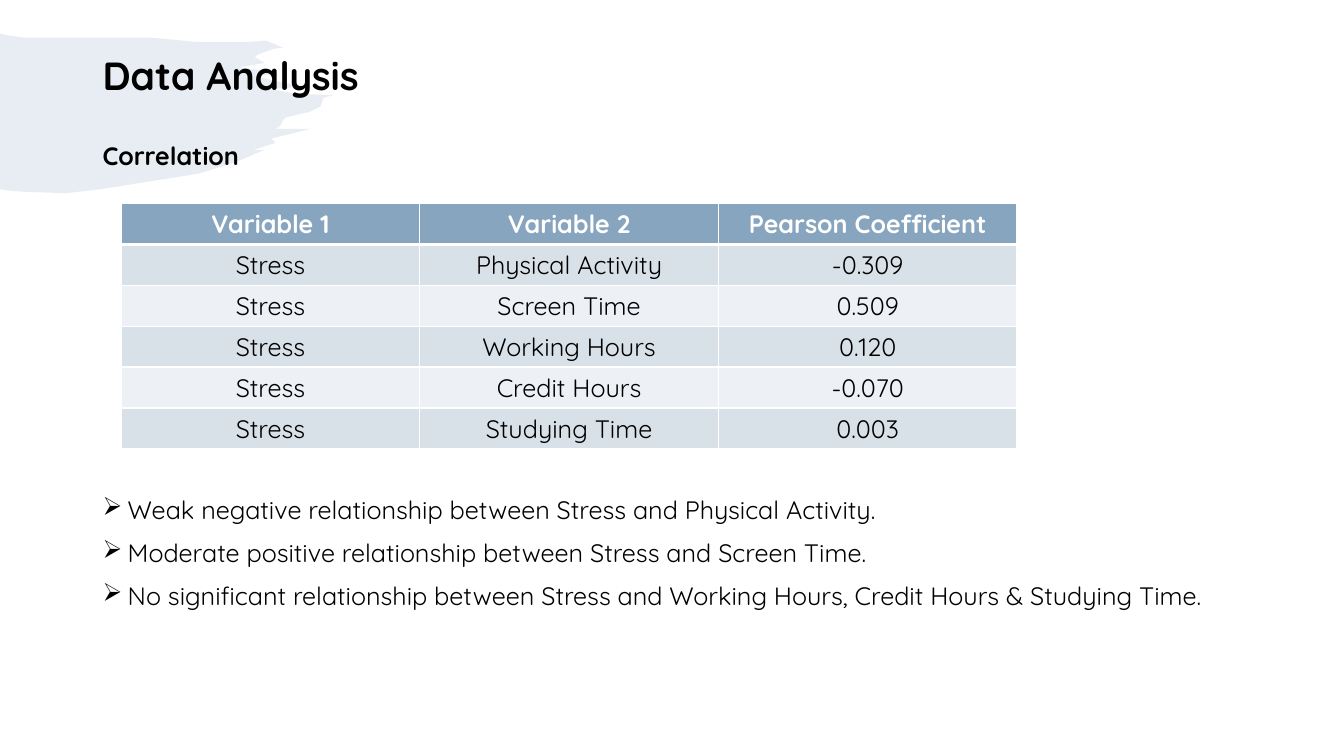
"""Build the Data Analysis slide with its correlation table and findings."""
from dataclasses import dataclass

from lxml import etree
from pptx import Presentation
from pptx import util as u
from pptx.dml import color
from pptx.enum import text
from pptx.oxml import ns

Pt = u.Pt
FONT = "Quicksand"
COLORS = {
    "text": "000000",
    "white": "FFFFFF",
    "accent": "87A5BE",
    "band_dark": "D9E1E8",
    "band_light": "EDF0F4",
}
LEFT, WIDTH = 66.2, 828
BRUSH = [
    (0, 24.5), (4.3, 25.2), (18, 26.6), (47.5, 27.4), (73.4, 26.6), (108.7, 27.4),
    (139.7, 29.5), (178.6, 29.5), (190.3, 29.2), (201.6, 33.8), (195.1, 35.3),
    (183.6, 38.9), (182.2, 41), (184.3, 42.5), (188.6, 44.6), (171.4, 47.5),
    (177.1, 49), (184.3, 50.4), (191.5, 51.1), (198, 53.3), (180.7, 54),
    (189.4, 56.2), (196.6, 58.3), (201.6, 59), (207.4, 59.8), (208.8, 61.2),
    (206.6, 63.4), (189.4, 63.4), (212, 66.6), (237.6, 67.7), (231.1, 69.8),
    (229, 76.3), (221, 79.9), (216, 81.4), (203.8, 83.5), (201.6, 86.4),
    (200.2, 90), (197.3, 92.2), (221.8, 92.2), (193.7, 99.4), (196.6, 102.2),
    (181.4, 106.6), (189.4, 106.6), (168, 115.5), (141.8, 123.8), (73.4, 135.4),
    (46.8, 137.5), (16.6, 136.8), (5, 136.1), (0, 135.4),
]
HEADERS = ["Variable 1", "Variable 2", "Pearson Coefficient"]
CORRELATIONS = [
    ("Physical Activity", "-0.309"),
    ("Screen Time", "0.509"),
    ("Working Hours", "0.120"),
    ("Credit Hours", "-0.070"),
    ("Studying Time", "0.003"),
]


@dataclass
class TextBlock:
    """Lines of text at one height on the slide."""

    top: float
    height: float
    lines: list[str]
    bold: bool = False
    bullet: str = ""


BLOCKS = [
    TextBlock(96.5, 30, ["Correlation"], bold=True),
    TextBlock(349.4, 100, [
        "Weak negative relationship between Stress and Physical Activity.",
        "Moderate positive relationship between Stress and Screen Time.",
        "No significant relationship between Stress and Working Hours, "
        "Credit Hours & Studying Time.",
    ], bullet="➢"),
]


def rgb(name: str) -> color.RGBColor:
    """Look up a named colour."""
    return color.RGBColor.from_string(COLORS[name])


def style(p, size: float, name: str = "text", bold: bool = False) -> None:
    """Format every run of a paragraph."""
    for r in p.runs:
        r.font.name, r.font.size, r.font.bold = FONT, Pt(size), bold
        r.font.color.rgb = rgb(name)


def draw_brush(s) -> None:
    """Draw the translucent brush stroke behind the title."""
    builder = s.shapes.build_freeform(*BRUSH[0], scale=Pt(1))
    builder.add_line_segments(BRUSH[1:], close=True)
    sp = builder.convert_to_shape()
    sp.shadow.inherit = False
    sp.line.fill.background()
    sp.fill.solid()
    sp.fill.fore_color.rgb = rgb("accent")
    srgb = sp.fill._xPr.find(".//" + ns.qn("a:srgbClr"))
    etree.SubElement(srgb, ns.qn("a:alpha"), val="20000")


def draw_title(s, title: str) -> None:
    """Place and format the title placeholder."""
    sp = s.shapes.title
    sp.left, sp.top, sp.width, sp.height = Pt(LEFT), Pt(28.8), Pt(WIDTH), Pt(53.3)
    tf = sp.text_frame
    tf.text = title
    tf.vertical_anchor = text.MSO_ANCHOR.MIDDLE
    p = tf.paragraphs[0]
    p.alignment, p.line_spacing = text.PP_ALIGN.LEFT, 0.9
    style(p, 28, bold=True)


def draw_block(s, block: TextBlock) -> None:
    """Draw a text box, bulleted where the block asks for it."""
    sp = s.shapes.add_textbox(Pt(LEFT), Pt(block.top), Pt(WIDTH), Pt(block.height))
    tf = sp.text_frame
    tf.word_wrap = True
    tf.text = "\n".join(block.lines)
    for p in tf.paragraphs:
        p.space_after = Pt(9.2)
        style(p, 18, bold=block.bold)
        if block.bullet:
            pPr = p._p.get_or_add_pPr()
            pPr.set("marL", str(Pt(18)))
            pPr.set("indent", str(Pt(-18)))
            etree.SubElement(pPr, ns.qn("a:buChar"), char=block.bullet)


def draw_cell(cell, value: str, fill: str, header: bool) -> None:
    """Fill one table cell and give it white borders."""
    tcPr = cell._tc.get_or_add_tcPr()
    for side in "LRTB":
        width = 3 if header and side == "B" else 1
        ln = etree.SubElement(tcPr, ns.qn(f"a:ln{side}"), w=str(Pt(width)))
        solid = etree.SubElement(ln, ns.qn("a:solidFill"))
        etree.SubElement(solid, ns.qn("a:srgbClr"), val=COLORS["white"])
    cell.fill.solid()
    cell.fill.fore_color.rgb = rgb(fill)
    cell.text_frame.text = value
    p = cell.text_frame.paragraphs[0]
    p.alignment = text.PP_ALIGN.CENTER
    style(p, 18, "white" if header else "text", header)


def draw_table(s) -> None:
    """Draw the correlation table with alternating bands."""
    rows = [HEADERS, *(("Stress", *row) for row in CORRELATIONS)]
    frame = s.shapes.add_table(len(rows), len(HEADERS),
                               Pt(86.6), Pt(145.4), Pt(639.9), Pt(175.2))
    for i, row in enumerate(rows):
        band = "band_dark" if i % 2 else "band_light"
        for j, value in enumerate(row):
            draw_cell(frame.table.cell(i, j), value, band if i else "accent", i == 0)


def main() -> None:
    """Assemble and save the slide."""
    prs = Presentation()
    prs.slide_width, prs.slide_height = Pt(960), Pt(540)
    s = prs.slides.add_slide(prs.slide_layouts.get_by_name("Title Only"))
    draw_brush(s)
    s.shapes._spTree.append(s.shapes.title._element)
    draw_title(s, "Data Analysis")
    for block in BLOCKS:
        draw_block(s, block)
    draw_table(s)
    prs.save("out.pptx")


main()
